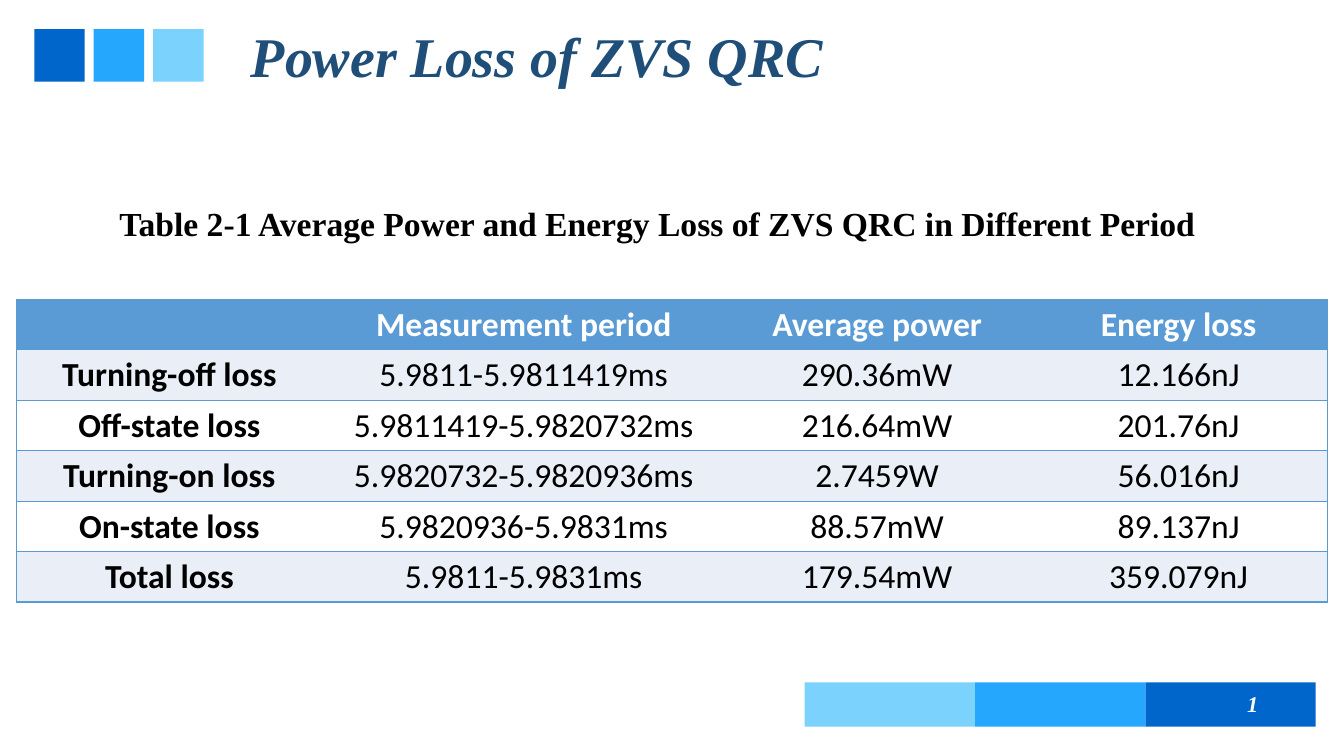
from lxml import etree
from pptx import Presentation
from pptx.dml.color import RGBColor
from pptx.enum.shapes import MSO_SHAPE
from pptx.enum.text import MSO_ANCHOR, MSO_AUTO_SIZE, PP_ALIGN
from pptx.oxml.ns import qn
from pptx.util import Inches, Pt

RECTANGLE = MSO_SHAPE.RECTANGLE
MIDDLE, BOTTOM = MSO_ANCHOR.MIDDLE, MSO_ANCHOR.BOTTOM
CENTER, RIGHT = PP_ALIGN.CENTER, PP_ALIGN.RIGHT
FIT_SHAPE, NO_FIT = MSO_AUTO_SIZE.SHAPE_TO_FIT_TEXT, MSO_AUTO_SIZE.NONE

COLORS = {
    "deep": "0066CC", "bright": "25A7FD", "pale": "7BD2FD",
    "title": "1F4E79", "header": "5B9BD5", "band": "EAEFF7",
    "white": "FFFFFF", "black": "000000",
}
SERIF, SANS = "Times New Roman", "Calibri"

LOSSES = [
    ["", "Measurement period", "Average power", "Energy loss"],
    ["Turning-off loss", "5.9811-5.9811419ms", "290.36mW", "12.166nJ"],
    ["Off-state loss", "5.9811419-5.9820732ms", "216.64mW", "201.76nJ"],
    ["Turning-on loss", "5.9820732-5.9820936ms", "2.7459W", "56.016nJ"],
    ["On-state loss", "5.9820936-5.9831ms", "88.57mW", "89.137nJ"],
    ["Total loss", "5.9811-5.9831ms", "179.54mW", "359.079nJ"],
]
COLUMN_WIDTHS = [3.04, 3.99, 3.02, 2.96]
ROW_HEIGHT = 0.5


class SlideBuilder:
    def __init__(self, slide):
        self.slide = slide

    def color(self, name):
        return RGBColor.from_string(COLORS[name])

    def set_text(self, frame, text, size, font, color, align, bold=True, italic=False):
        frame.text = text
        paragraph = frame.paragraphs[0]
        paragraph.alignment = align
        for run in paragraph.runs:
            run.font.size = Pt(size)
            run.font.name = font
            run.font.bold = bold
            run.font.italic = italic
            run.font.color.rgb = self.color(color)
        return paragraph

    def block(self, left, top, width, height, color):
        block = self.slide.shapes.add_shape(
            RECTANGLE, Inches(left), Inches(top), Inches(width), Inches(height))
        block.shadow.inherit = False
        block.fill.solid()
        block.fill.fore_color.rgb = self.color(color)
        block.line.fill.background()

    def title(self, text, left, top, width, height):
        title = self.slide.shapes.title
        title.left, title.top = Inches(left), Inches(top)
        title.width, title.height = Inches(width), Inches(height)
        title.text_frame.auto_size = NO_FIT
        title.text_frame.vertical_anchor = BOTTOM
        paragraph = self.set_text(title.text_frame, text, 40, SERIF, "title", CENTER, italic=True)
        paragraph.line_spacing = 0.9

    def label(self, text, left, top, width, height, size, color, align, italic=False, wrap=True):
        label = self.slide.shapes.add_textbox(
            Inches(left), Inches(top), Inches(width), Inches(height))
        frame = label.text_frame
        frame.word_wrap = wrap
        frame.auto_size = NO_FIT if wrap else FIT_SHAPE
        frame.vertical_anchor = MIDDLE
        self.set_text(frame, text, size, SERIF, color, align, italic=italic)

    def borders(self, cell, visible):
        properties = cell._tc.get_or_add_tcPr()
        for side in "LRTB":
            line = etree.SubElement(properties, qn(f"a:ln{side}"), w=str(Pt(1)))
            if side in visible:
                fill = etree.SubElement(line, qn("a:solidFill"))
                etree.SubElement(fill, qn("a:srgbClr"), val=COLORS["header"])
            else:
                etree.SubElement(line, qn("a:noFill"))

    def table(self, rows, widths, left, top, row_height):
        table = self.slide.shapes.add_table(
            len(rows), len(widths), Inches(left), Inches(top),
            Inches(sum(widths)), Inches(row_height * len(rows))).table
        for column, width in zip(table.columns, widths):
            column.width = Inches(width)
        for row_index, values in enumerate(rows):
            header = row_index == 0
            fill = "header" if header else "band" if row_index % 2 else "white"
            for column_index, value in enumerate(values):
                cell = table.cell(row_index, column_index)
                first, last = column_index == 0, column_index == len(widths) - 1
                self.borders(cell, "TB" + "L" * first + "R" * last)
                cell.fill.solid()
                cell.fill.fore_color.rgb = self.color(fill)
                cell.vertical_anchor = MIDDLE
                self.set_text(cell.text_frame, value, 24, SANS,
                              "white" if header else "black", CENTER, bold=header or first)


def main():
    deck = Presentation()
    deck.slide_width, deck.slide_height = Inches(13.33), Inches(7.5)
    builder = SlideBuilder(deck.slides.add_slide(deck.slide_layouts[5]))
    shades = ["deep", "bright", "pale"]
    for index, shade in enumerate(shades):
        builder.block(0.34 + 0.59 * index, 0.29, 0.5, 0.52, shade)
        builder.block(11.36 - 1.69 * index, 6.77, 1.69, 0.44, shade)
    builder.title("Power Loss of ZVS QRC", 1.69, 0, 7.27, 0.94)
    builder.label("1", 9.58, 6.78, 3, 0.4, 16, "white", RIGHT, italic=True)
    builder.label("Table 2-1 Average Power and Energy Loss of ZVS QRC in Different Period",
                  1.03, 1.96, 10.98, 0.5, 24, "black", CENTER, wrap=False)
    builder.table(LOSSES, COLUMN_WIDTHS, 0.16, 2.97, ROW_HEIGHT)
    deck.save("out.pptx")


if __name__ == "__main__":
    main()
